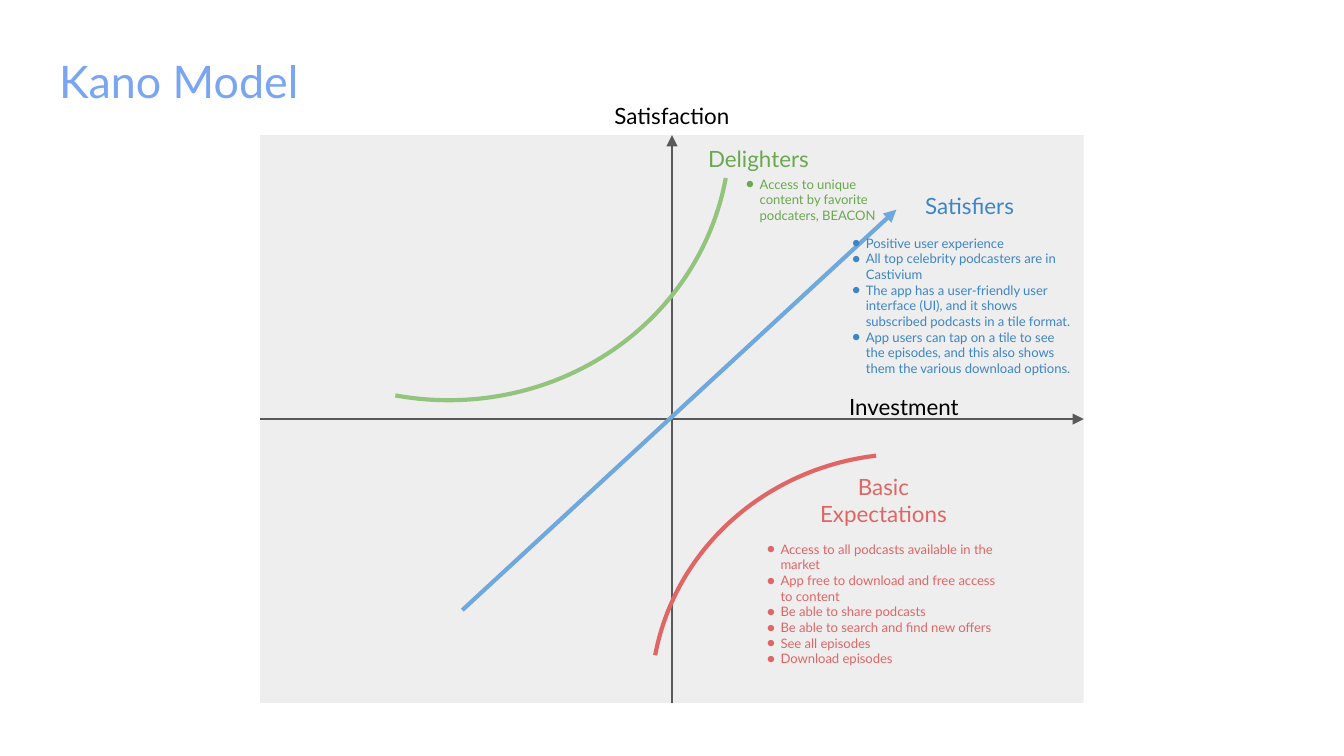
from pptx import Presentation
from pptx import util as u
from pptx.dml.color import RGBColor
from pptx.enum import shapes, text
from pptx.oxml.ns import qn
from lxml import etree

COLS, ROWS = 100, 56.25
CELL = u.Inches(0.1)
FONT = "Lato"
BLACK = RGBColor(0, 0, 0)
TITLE = RGBColor(0x79, 0xA5, 0xF2)
PANEL = RGBColor(0xEE, 0xEE, 0xEE)
AXIS = RGBColor(0x59, 0x59, 0x59)
SKY = RGBColor(0x6F, 0xA8, 0xDC)
BLUE = RGBColor(0x3D, 0x85, 0xC6)
LIME = RGBColor(0x93, 0xC4, 0x7D)
GREEN = RGBColor(0x6A, 0xA8, 0x4F)
RED = RGBColor(0xE0, 0x66, 0x66)

LEFT, TOP, WIDTH, HEIGHT = 19.36, 10.06, 61.28, 42.25
MID_X, MID_Y = LEFT + WIDTH / 2, TOP + HEIGHT / 2

LABELS = [
    ("Delighters", 50.74, 10.96, GREEN),
    ("Satisfiers", 66.45, 14.45, BLUE),
    ("Investment", 61.56, 29.4, BLACK),
    ("Satisfaction", 44.3, 7.75, BLACK),
]
LISTS = [
    ((56.1, 40.27, 19.3, 9.9), RED, [
        "Access to all podcasts available in the market",
        "App free to download and free access to content",
        "Be able to share podcasts",
        "Be able to search and find new offers",
        "See all episodes",
        "Download episodes",
    ]),
    ((62.44, 17.5, 18.2, 10.5), BLUE, [
        "Positive user experience",
        "All top celebrity podcasters are in Castivium",
        "The app has a user-friendly user interface (UI), and it shows "
        "subscribed podcasts in a tile format.",
        "App users can tap on a tile to see the episodes, and this also "
        "shows them the various download options.",
    ]),
    ((54.54, 13.1, 11.9, 3.9), GREEN, [
        "Access to unique content by favorite podcaters, BEACON",
    ]),
]


def grid(*cells):
    return [round(cell * CELL) for cell in cells]


def style(para, size, color):
    para.font.name = FONT
    para.font.size = u.Pt(size)
    para.font.color.rgb = color


def add_box(slide, area, top=1):
    frame = slide.shapes.add_textbox(*grid(*area)).text_frame
    frame.word_wrap = True
    frame.margin_left = frame.margin_right = frame.margin_bottom = CELL
    frame.margin_top = round(top * CELL)
    return frame


def add_label(slide, words, area, color, size=12, align=text.PP_ALIGN.CENTER):
    frame = add_box(slide, area)
    frame.vertical_anchor = text.MSO_ANCHOR.MIDDLE
    para = frame.paragraphs[0]
    para.text = words
    para.alignment = align
    style(para, size, color)


def add_list(slide, area, color, items):
    frame = add_box(slide, area, top=0)
    for i, item in enumerate(items):
        para = frame.add_paragraph() if i else frame.paragraphs[0]
        para.text = item
        props = para._p.get_or_add_pPr()
        props.set("marL", str(CELL))
        props.set("indent", str(-CELL))
        tint = etree.SubElement(props, qn("a:buClr"))
        etree.SubElement(tint, qn("a:srgbClr"), val=str(color))
        etree.SubElement(props, qn("a:buFont"), typeface=FONT)
        etree.SubElement(props, qn("a:buChar"), char="●")
        style(para, 7, color)


def add_panel(slide):
    panel = slide.shapes.add_shape(
        shapes.MSO_SHAPE.RECTANGLE, *grid(LEFT, TOP, WIDTH, HEIGHT))
    panel.shadow.inherit = False
    panel.fill.solid()
    panel.fill.fore_color.rgb = PANEL
    panel.line.fill.background()


def add_arrow(slide, ends, color, width):
    arrow = slide.shapes.add_connector(
        shapes.MSO_CONNECTOR.STRAIGHT, *grid(*ends))
    arrow.line.color.rgb = color
    arrow.line.width = u.Pt(width)
    etree.SubElement(arrow.line._get_or_add_ln(), qn("a:tailEnd"),
                     type="triangle")
    etree.SubElement(arrow._element.spPr, qn("a:effectLst"))


def add_curve(slide, area, turn, start, end, color):
    curve = slide.shapes.add_shape(shapes.MSO_SHAPE.ARC, *grid(*area))
    curve.shadow.inherit = False
    curve.rotation = turn
    curve.adjustments[0] = start
    curve.adjustments[1] = end
    curve.fill.background()
    curve.line.color.rgb = color
    curve.line.width = u.Pt(2.25)


def main():
    deck = Presentation()
    deck.slide_width, deck.slide_height = grid(COLS, ROWS)
    slide = deck.slides.add_slide(deck.slide_layouts[6])
    add_label(slide, "Kano Model", (3.41, 2.85, 93.2, 6.3), TITLE, 24,
              text.PP_ALIGN.LEFT)
    add_panel(slide)
    add_arrow(slide, (MID_X, TOP + HEIGHT, MID_X, TOP), AXIS, 0.75)
    add_arrow(slide, (LEFT, MID_Y, LEFT + WIDTH, MID_Y), AXIS, 0.75)
    add_arrow(slide, (34.4, 45.4, 66.7, 15.6), SKY, 2.25)
    add_curve(slide, (12.7, -11.9, 40.7, 42.6), 100.3, 162.07, 0, LIME)
    add_curve(slide, (49.3, 32.93, 36, 37.7), 264.8, 170.69, 215.09, RED)
    for words, left, top, color in LABELS:
        add_label(slide, words, (left, top, 11.4, 1.7), color)
    add_label(slide, "Basic Expectations", (58.94, 35.4, 13.6, 3.6), RED)
    for area, color, items in LISTS:
        add_list(slide, area, color, items)
    deck.save("out.pptx")


if __name__ == "__main__":
    main()
